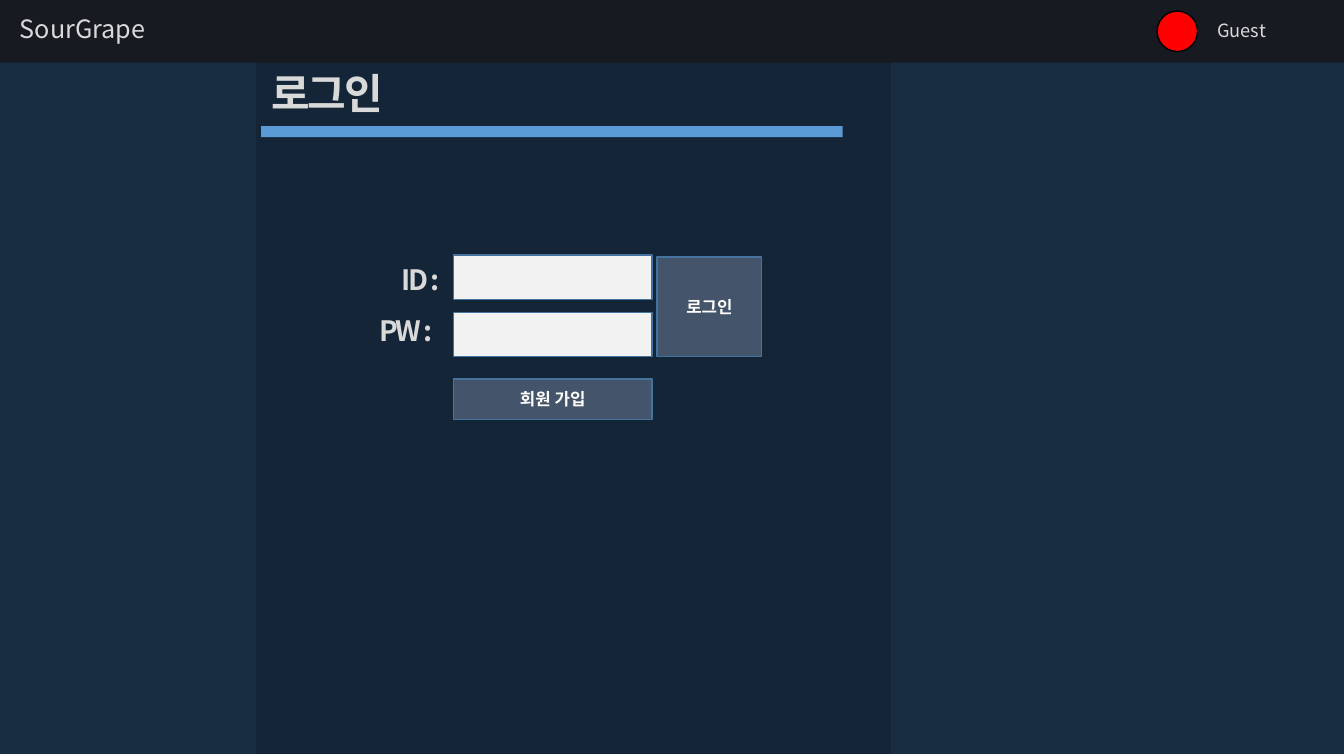
from lxml.etree import SubElement
from pptx import Presentation
from pptx.dml.color import RGBColor
from pptx.enum.shapes import MSO_SHAPE
from pptx.enum.text import MSO_ANCHOR, MSO_AUTO_SIZE, PP_ALIGN
from pptx.oxml.ns import qn
from pptx.util import Cm, Pt

FONT = "Noto Sans CJK KR"
PALE = "D9D9D9"
SLATE = "44546A"
FIELD = "F2F2F2"
EDGE = "43739E"

presentation = Presentation()
presentation.slide_width = Cm(33.87)
presentation.slide_height = Cm(19.05)
slide = presentation.slides.add_slide(presentation.slide_layouts[5])


def add_block(box, fill, line=None, kind=MSO_SHAPE.RECTANGLE):
    shape = slide.shapes.add_shape(kind, *[Cm(length) for length in box])
    shape.shadow.inherit = False
    shape.fill.solid()
    shape.fill.fore_color.rgb = RGBColor.from_string(fill)
    if line:
        shape.line.color.rgb = RGBColor.from_string(line)
        shape.line.width = Pt(1)
    else:
        shape.line.fill.background()
    return shape


def write_text(shape, text, size, color=PALE, bold=False, align=PP_ALIGN.LEFT,
               anchor=MSO_ANCHOR.TOP, spacing=0):
    frame = shape.text_frame
    frame.text = text
    frame.word_wrap = True
    frame.auto_size = MSO_AUTO_SIZE.NONE
    frame.vertical_anchor = anchor
    paragraph = frame.paragraphs[0]
    paragraph.alignment = align
    paragraph.font.name = FONT
    paragraph.font.size = Pt(size)
    paragraph.font.bold = bold
    paragraph.font.color.rgb = RGBColor.from_string(color)
    properties = paragraph._p.pPr.find(qn("a:defRPr"))
    properties.set("spc", str(round(spacing * 100)))
    SubElement(properties, qn("a:ea")).set("typeface", FONT)


add_block((0, -0.05, 33.87, 19.05), "182D42")
add_block((6.45, 1.42, 16, 17.58), "132536")
add_block((0, 0, 33.87, 1.58), "171A21")
add_block((29.16, 0.28, 1.02, 1.02), "FF0000", "000000", MSO_SHAPE.OVAL)
add_block((6.58, 3.18, 14.66, 0.28), "5B9BD5")

title = slide.shapes.title
title.left, title.top, title.width, title.height = Cm(6.58), Cm(1.57), Cm(21.39), Cm(1.55)
write_text(title, "로그인", 30, bold=True, spacing=-1.5)
slide.shapes._spTree.append(title._element)

for top in (6.43, 7.87):
    add_block((11.43, top, 5, 1.12), FIELD, EDGE)

buttons = [
    ("로그인", (16.56, 6.48, 2.64, 2.51)),
    ("회원 가입", (11.43, 9.55, 5, 1.02)),
]
for text, box in buttons:
    button = add_block(box, SLATE, EDGE)
    write_text(button, text, 12, "FFFFFF", True, PP_ALIGN.CENTER, MSO_ANCHOR.MIDDLE)

labels = [
    ("SourGrape", (0.25, 0.2, 11.71, 1.02), 18, False, PP_ALIGN.LEFT, 0),
    ("Guest", (30.43, 0.36, 3.07, 0.81), 13, False, PP_ALIGN.LEFT, 0),
    ("ID :", (9.86, 6.48, 1.85, 1.12), 20, True, PP_ALIGN.LEFT, -1.5),
    ("PW :", (8.9, 7.77, 2.26, 1.12), 20, True, PP_ALIGN.RIGHT, -1.5),
]
for text, box, size, bold, align, spacing in labels:
    label = slide.shapes.add_textbox(*[Cm(length) for length in box])
    write_text(label, text, size, bold=bold, align=align, spacing=spacing)

presentation.save("out.pptx")
